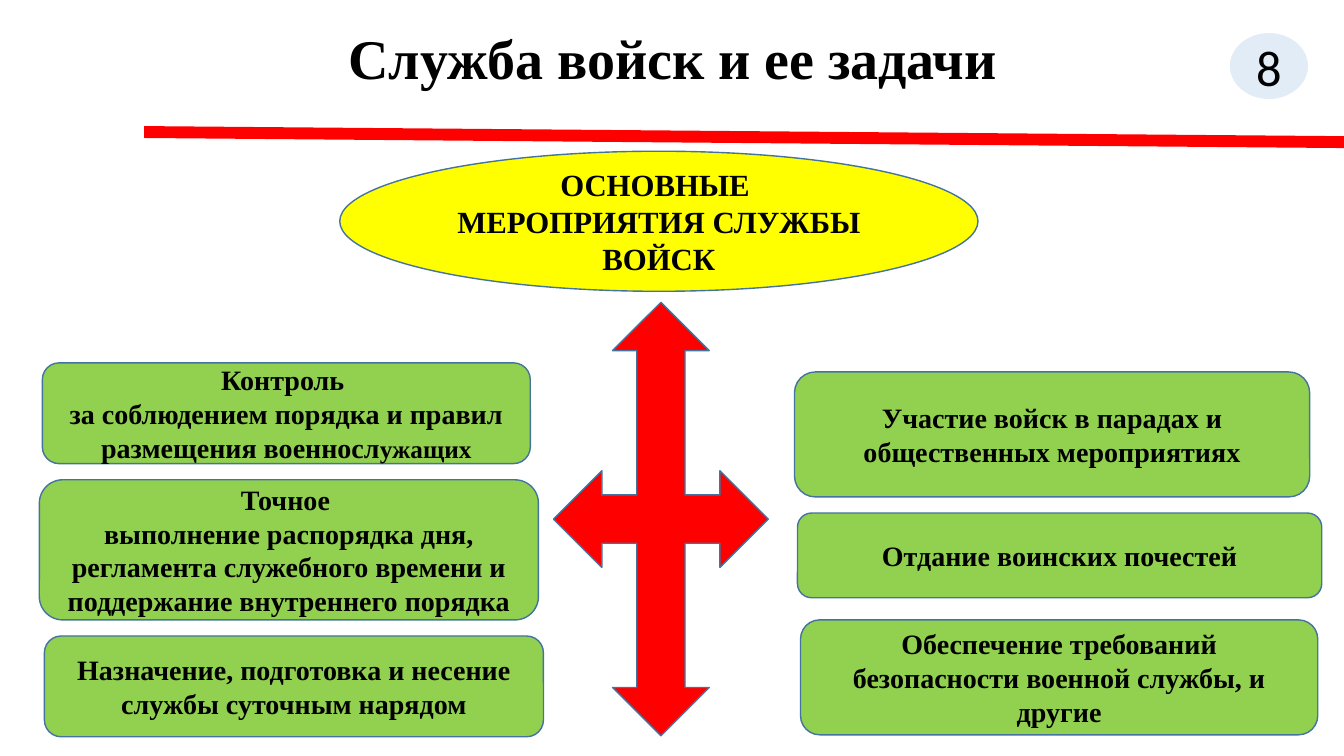
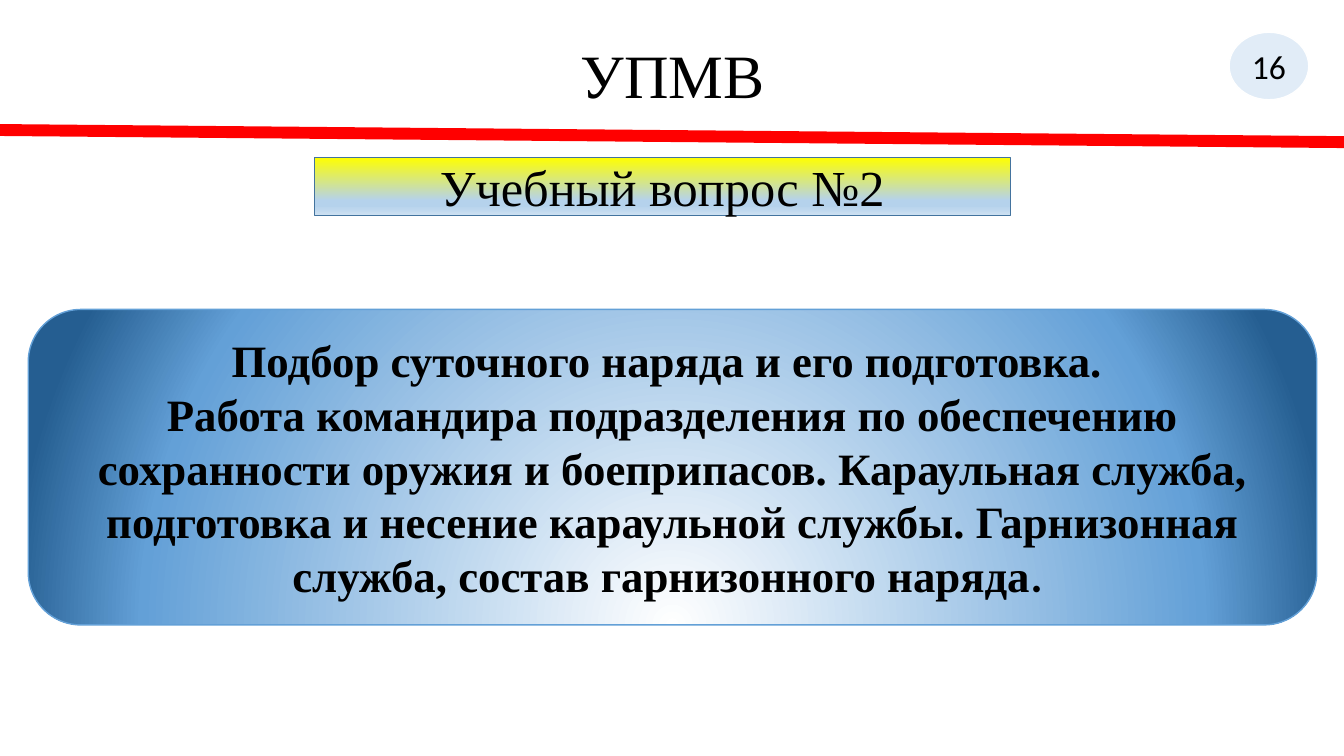
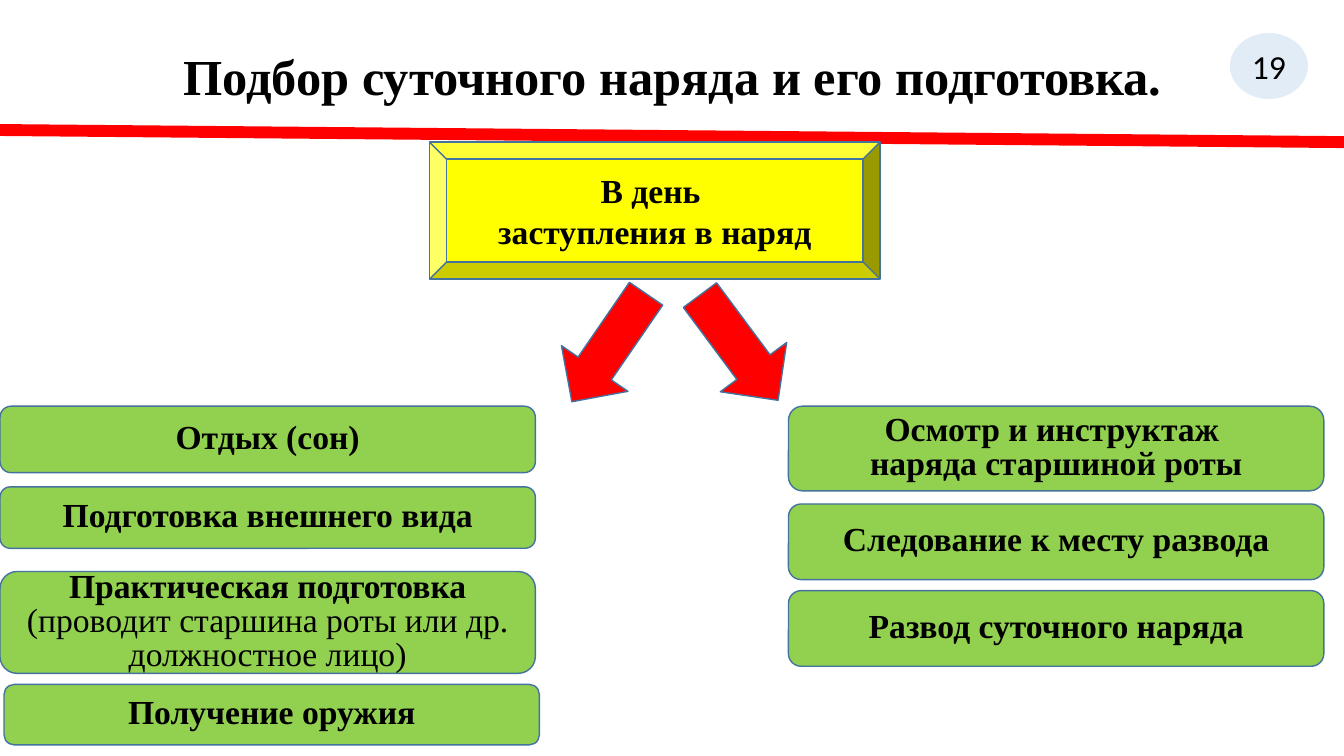
"""Build three slides on garrison service and the daily duty detail."""
from dataclasses import dataclass

from lxml.etree import SubElement
from pptx import Presentation
from pptx.dml.color import RGBColor
from pptx.enum.shapes import MSO_CONNECTOR, MSO_SHAPE
from pptx.enum.text import MSO_ANCHOR, PP_ALIGN
from pptx.oxml import parse_xml
from pptx.oxml.ns import nsdecls, qn
from pptx.util import Inches, Pt


@dataclass(frozen=True)
class Theme:
    """Colours, fonts and type sizes shared by the slides."""

    serif: str = "Times New Roman"
    sans: str = "Calibri"
    ink: str = "000000"
    paper: str = "FFFFFF"
    red: str = "FF0000"
    yellow: str = "FFFF00"
    green: str = "92D050"
    outline: str = "43739E"
    badge: str = "5B9BD5"
    badge_opacity: int = 18
    sky: str = "63A0D7"
    banner_stops: tuple = ((0, "FFFF00"), (74, "B5D2EC"), (83, "B5D2EC"), (100, "CEE1F2"))
    topic_stops: tuple = ((0, "FFFFFF"), (80, "63A0D7"), (100, "255E91"))
    title_spacing: float = 0.9
    rule_width: float = 8.5
    detail: int = 18
    item: int = 20
    heading: int = 22
    step: int = 24
    topic: int = 32
    banner: int = 36
    title: int = 40
    cover: int = 44


THEME = Theme()
DOWNWARD = '<a:lin ang="5400000" scaled="0"/>'
GLOW_BELOW = '<a:path path="circle"><a:fillToRect l="50000" t="130000" r="50000" b="-30000"/></a:path>'


def rgb(code):
    """Return the colour for a hexadecimal code."""
    return RGBColor.from_string(code)


def style_font(font, size=None, name=None, bold=None, color=None):
    """Set the given font properties."""
    if size:
        font.size = Pt(size)
    if name:
        font.name = name
    if bold is not None:
        font.bold = bold
    if color:
        font.color.rgb = rgb(color)


def write(shape, paragraphs, size, name=THEME.serif, bold=True, spacing=None, wrap=True):
    """Fill a shape with centred paragraphs, each a string or a list of (text, changes)."""
    frame = shape.text_frame
    frame.word_wrap = wrap
    frame.vertical_anchor = MSO_ANCHOR.MIDDLE
    for index, content in enumerate(paragraphs):
        paragraph = frame.paragraphs[0] if index == 0 else frame.add_paragraph()
        paragraph.alignment = PP_ALIGN.CENTER
        if spacing:
            paragraph.line_spacing = spacing
        runs = [(content, {})] if isinstance(content, str) else content
        for text, changes in runs:
            run = paragraph.add_run()
            run.text = text
            style_font(run.font, **changes)
        style_font(paragraph.font, size, name, bold, THEME.ink)


def add_block(slide, preset, area, fill, line=THEME.outline):
    """Add an outlined preset shape with a solid fill."""
    block = slide.shapes.add_shape(preset, *map(Inches, area))
    block.shadow.inherit = False
    block.fill.solid()
    block.fill.fore_color.rgb = rgb(fill)
    block.line.color.rgb = rgb(line)
    block.line.width = Pt(1)
    return block


def apply_gradient(block, stops, direction):
    """Replace the solid fill of a block with a gradient."""
    marks = "".join(
        f'<a:gs pos="{position * 1000}"><a:srgbClr val="{color}"/></a:gs>'
        for position, color in stops
    )
    gradient = parse_xml(
        f'<a:gradFill {nsdecls("a")} rotWithShape="1"><a:gsLst>{marks}</a:gsLst>{direction}</a:gradFill>'
    )
    properties = block._element.spPr
    properties.replace(properties.find(qn("a:solidFill")), gradient)


def add_title(slide, text, size, top, height, bold=True):
    """Add the slide title."""
    title = slide.shapes.add_textbox(Inches(0.92), Inches(top), Inches(11.5), Inches(height))
    write(title, [text], size, bold=bold, spacing=THEME.title_spacing)


def add_rule(slide, left=0, top=1.29):
    """Add the red rule under the title."""
    ends = map(Inches, (left, top, 13.33, 1.41))
    rule = slide.shapes.add_connector(MSO_CONNECTOR.STRAIGHT, *ends)
    rule.line.color.rgb = rgb(THEME.red)
    rule.line.width = Pt(THEME.rule_width)
    SubElement(rule._element.spPr, qn("a:effectLst"))


def add_badge(slide, number, size=THEME.step):
    """Add the pale oval with the page number."""
    badge = add_block(slide, MSO_SHAPE.OVAL, (12.19, 0.32, 0.79, 0.67), THEME.badge, THEME.paper)
    tint = badge._element.spPr.find(qn("a:solidFill")).find(qn("a:srgbClr"))
    SubElement(tint, qn("a:alpha"), val=str(THEME.badge_opacity * 1000))
    write(badge, [str(number)], size, THEME.sans, bold=False, wrap=False)


def add_cards(slide, cards, size, spacing=None):
    """Add green rounded cards given as (area, paragraphs)."""
    for area, paragraphs in cards:
        card = add_block(slide, MSO_SHAPE.ROUNDED_RECTANGLE, area, THEME.green)
        write(card, paragraphs, size, spacing=spacing)


def build_tasks(slide):
    """Build the slide on the main measures of service."""
    add_title(slide, "Служба войск и ее задачи", THEME.title, 0, 1.21)
    add_rule(slide, 1.43, 1.31)
    add_badge(slide, 8, THEME.banner)
    measures = add_block(slide, MSO_SHAPE.OVAL, (3.37, 1.5, 6.33, 1.39), THEME.yellow)
    write(measures, ["ОСНОВНЫЕ ", "МЕРОПРИЯТИЯ СЛУЖБЫ ВОЙСК"], THEME.heading)
    control = [
        ("за соблюдением порядка и правил размещения военносл", {}),
        ("ужащих", {"size": THEME.detail}),
    ]
    routine = (
        "выполнение распорядка дня, регламента служебного времени "
        "и поддержание внутреннего порядка"
    )
    cards = [
        ((0.42, 3.6, 4.84, 1), ["Контроль ", control]),
        ((0.39, 4.76, 4.95, 1.39), ["Точное ", routine]),
        ((0.44, 6.31, 4.95, 1), ["Назначение, подготовка и несение службы суточным нарядом"]),
        ((7.88, 3.69, 5.11, 1.24), ["Участие войск в парадах и общественных мероприятиях"]),
        ((7.91, 5.09, 5.2, 0.84), ["Отдание воинских почестей"]),
        ((7.94, 6.15, 5.13, 1.14), ["Обеспечение требований безопасности военной службы, и другие"]),
    ]
    add_cards(slide, cards, THEME.item)
    add_block(slide, MSO_SHAPE.QUAD_ARROW, (5.49, 3, 2.13, 4.3), THEME.red)


def build_question(slide):
    """Build the slide that announces the second study question."""
    add_title(slide, "УПМВ", THEME.cover, 0.4, 0.75, bold=False)
    add_rule(slide)
    add_badge(slide, 16)
    question = add_block(slide, MSO_SHAPE.RECTANGLE, (3.12, 1.56, 6.9, 0.58), THEME.yellow)
    apply_gradient(question, THEME.banner_stops, DOWNWARD)
    write(question, ["Учебный вопрос №2"], THEME.banner, bold=False)
    topic = add_block(
        slide, MSO_SHAPE.ROUNDED_RECTANGLE, (0.28, 3.07, 12.78, 3.13), THEME.sky, THEME.sky
    )
    apply_gradient(topic, THEME.topic_stops, GLOW_BELOW)
    scope = (
        "Работа командира подразделения по обеспечению сохранности оружия и боеприпасов. "
        "Караульная служба, подготовка и несение караульной службы. "
        "Гарнизонная служба, состав гарнизонного наряда"
    )
    closing = [(scope, {}), (". ", {"name": THEME.sans})]
    write(topic, ["Подбор суточного наряда и его подготовка. ", closing], THEME.topic)


def build_duty_day(slide):
    """Build the slide on the steps of the day the detail goes on duty."""
    add_title(slide, "Подбор суточного наряда и его подготовка.", THEME.banner, 0.05, 1.48)
    add_rule(slide)
    add_badge(slide, 19)
    duty_day = add_block(slide, MSO_SHAPE.BEVEL, (4.26, 1.41, 4.47, 1.36), THEME.yellow)
    write(duty_day, ["В день ", "заступления в наряд"], THEME.step)
    for left, width, angle in ((5.64, 0.8, 34.5), (6.92, 0.82, 323.4)):
        branch = add_block(slide, MSO_SHAPE.DOWN_ARROW, (left, 2.8, width, 1.3), THEME.red)
        branch.rotation = angle
    practice = [
        ("Практическая подготовка ", {}),
        ("(проводит старшина роты или др. должностное лицо)", {"bold": False}),
    ]
    steps = [
        (0, 4.03, 0.66, ["Отдых (сон)"]),
        (0, 4.83, 0.61, ["Подготовка внешнего вида"]),
        (0, 5.67, 1.01, [practice]),
        (0.04, 6.79, 0.6, ["Получение оружия"]),
        (7.82, 4.03, 0.84, ["Осмотр и инструктаж ", "наряда старшиной роты"]),
        (7.82, 5, 0.75, ["Следование к месту развода"]),
        (7.82, 5.86, 0.75, ["Развод суточного наряда"]),
    ]
    cards = [((left, top, 5.31, height), text) for left, top, height, text in steps]
    add_cards(slide, cards, THEME.step, Pt(THEME.step))


def main():
    """Build and save the presentation."""
    deck = Presentation()
    deck.slide_width, deck.slide_height = Inches(13.33), Inches(7.5)
    for build in (build_tasks, build_question, build_duty_day):
        build(deck.slides.add_slide(deck.slide_layouts[6]))
    deck.save("out.pptx")


if __name__ == "__main__":
    main()
